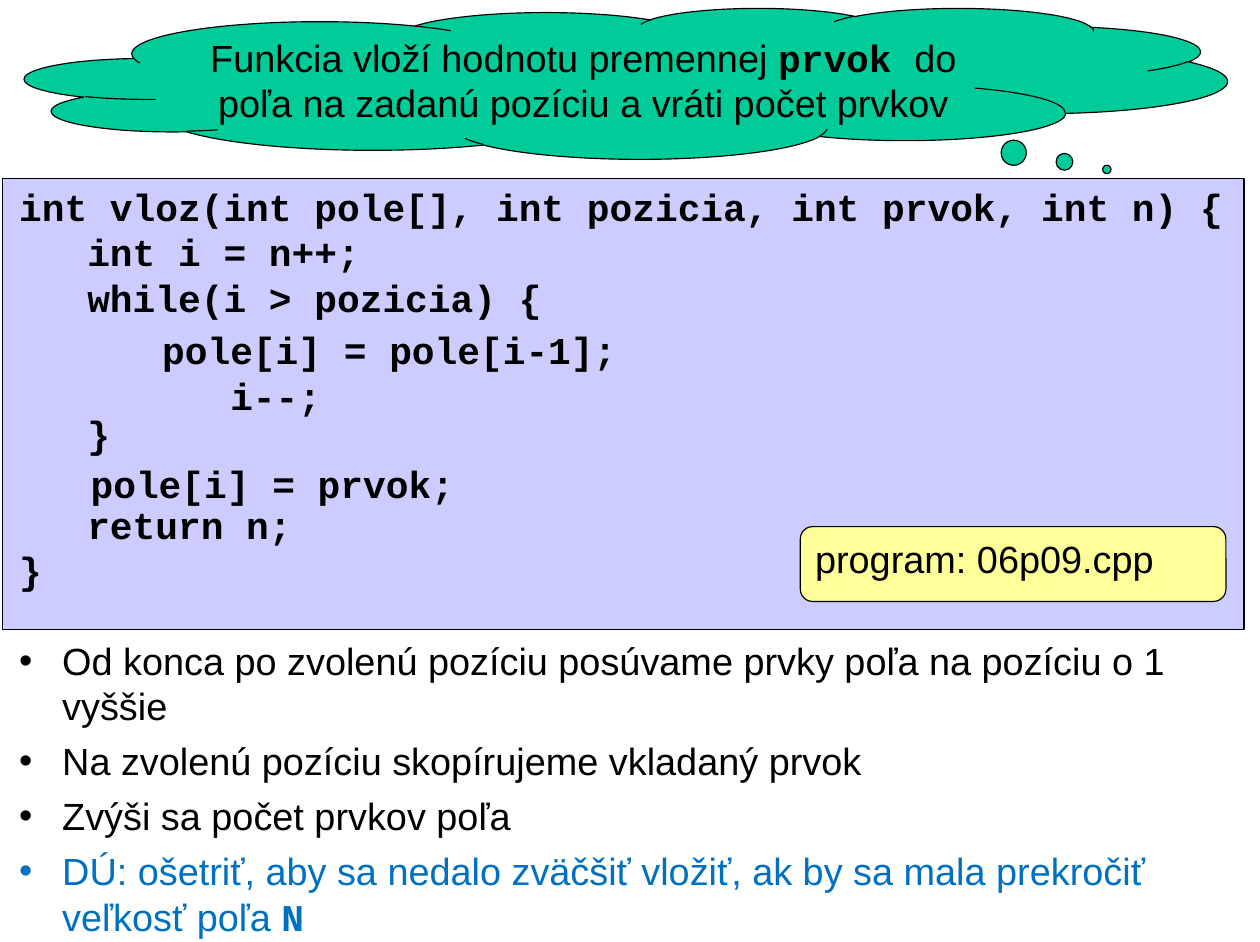
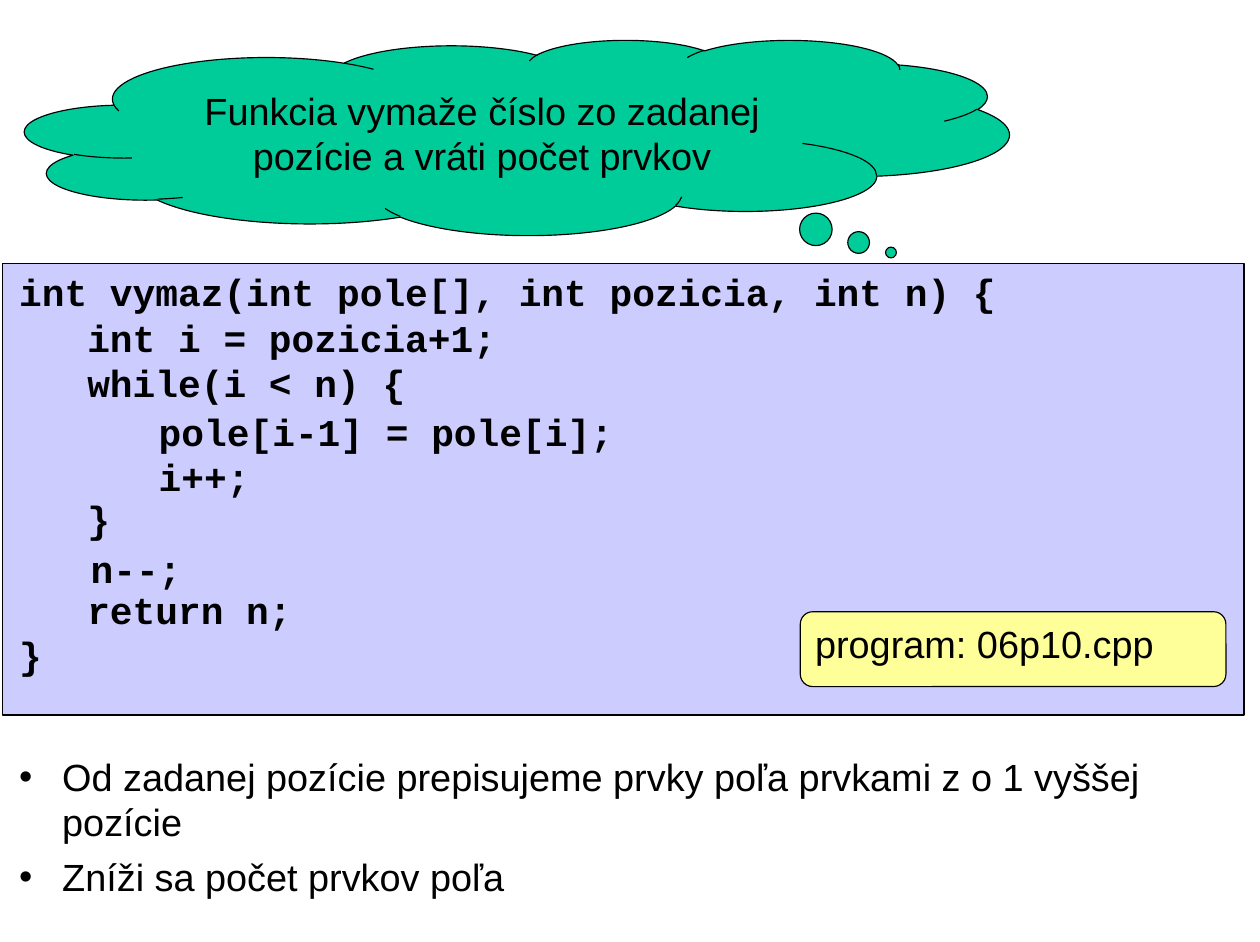
from lxml.etree import SubElement
from pptx import Presentation
from pptx.dml.color import RGBColor
from pptx.enum.shapes import MSO_SHAPE as SHAPE
from pptx.enum.text import MSO_ANCHOR as ANCHOR, PP_ALIGN as ALIGN
from pptx.oxml.ns import qn
from pptx.util import Inches, Pt

W, H = Inches(11.1), Inches(8.3)
COLS, ROWS = 111, 83

BLACK = RGBColor(0x00, 0x00, 0x00)
BLUE = RGBColor(0x00, 0x70, 0xC0)
GREEN = RGBColor(0x00, 0xCC, 0x99)
LILAC = RGBColor(0xCC, 0xCC, 0xFF)
YELLOW = RGBColor(0xFF, 0xFF, 0x99)

LINE = 28.8
PLAIN = {"name": "Arial", "size": Pt(24), "bold": False}
CODE = {"name": "Courier New", "size": Pt(24), "bold": True}


def col(n):
    return int(W * n / COLS)


def row(n):
    return int(H * n / ROWS)


def place(x, y, w, h):
    return col(x), row(y), col(w), row(h)


def apply(obj, values):
    for name, value in values.items():
        setattr(obj, name, value)


def add_runs(p, runs, color=BLACK):
    for text, style in runs:
        r = p.add_run()
        r.text = text
        apply(r.font, style)
        r.font.color.rgb = color


def paragraphs(tf, count):
    return [tf.paragraphs[0]] + [tf.add_paragraph() for _ in range(count - 1)]


def add_box(s, kind, at, fill, adjustments=()):
    sp = s.shapes.add_shape(kind, *place(*at))
    sp.shadow.inherit = False
    sp.fill.solid()
    sp.fill.fore_color.rgb = fill
    sp.line.color.rgb = BLACK
    sp.line.width = Pt(0.75)
    for i, value in enumerate(adjustments):
        sp.adjustments[i] = value
    return sp


def fill_box(sp, runs, anchor, align):
    tf = sp.text_frame
    apply(tf, {"word_wrap": True, "vertical_anchor": anchor})
    p = tf.paragraphs[0]
    apply(p, {"alignment": align, "line_spacing": Pt(LINE)})
    add_runs(p, runs)


def add_cloud(s, at, tail, runs):
    sp = add_box(s, SHAPE.CLOUD_CALLOUT, at, GREEN, tail)
    fill_box(sp, runs, ANCHOR.MIDDLE, ALIGN.CENTER)


def add_code(s, at, lines, skipped=None):
    tf = s.shapes.add_textbox(*place(*at)).text_frame
    tf.word_wrap = False
    for i, (p, text) in enumerate(zip(paragraphs(tf, len(lines)), lines)):
        p.line_spacing = Pt(LINE)
        if skipped and i in skipped:
            p.space_before = Pt(LINE * skipped[i])
        add_runs(p, [(text, CODE)])


def add_listing(s, top, head, loop, loop_at, after, program):
    add_box(s, SHAPE.RECTANGLE, (0.2, top, 109.4, 39.8), LILAC)
    lines = head + ["   }", "   return n;", "}"]
    add_code(s, (0.7, top, 108.9, 37.4), lines, {3: 2, 4: 1})
    x, dy = loop_at
    add_code(s, (x, top + dy, 55.5, 9.1), loop)
    add_code(s, (7, top + 24.4, 34.3, 5), [after])
    sp = add_box(s, SHAPE.ROUNDED_RECTANGLE, (70.5, top + 30.7, 37.5, 6.6), YELLOW)
    fill_box(sp, [("program: " + program, PLAIN)], ANCHOR.TOP, ALIGN.LEFT)


def add_bullets(s, top, height, items):
    tf = s.shapes.add_textbox(*place(0.7, top, 110.3, height)).text_frame
    tf.word_wrap = True
    for i, (p, (runs, color)) in enumerate(zip(paragraphs(tf, len(items)), items)):
        pPr = p._p.get_or_add_pPr()
        pPr.set("marL", str(col(3.8)))
        pPr.set("indent", str(-col(3.8)))
        SubElement(pPr, qn("a:buFont"), typeface="Arial")
        SubElement(pPr, qn("a:buChar"), char="•")
        apply(p, {"line_spacing": Pt(LINE), "space_before": Pt(6 if i else 0)})
        add_runs(p, runs, color)


def insert_slide(s):
    add_listing(
        s, 15.7,
        ["int vloz(int pole[], int pozicia, int prvok, int n) {",
         "   int i = n++;",
         "   while(i > pozicia) {"],
        [" pole[i] = pole[i-1];", "    i--;"], (11.3, 12.6),
        "pole[i] = prvok;", "06p09.cpp")
    add_cloud(s, (2.2, 0.7, 105.9, 13.3), (0.4, 0.57), [
        ("Funkcia vloží hodnotu premennej ", PLAIN),
        ("prvok ", CODE),
        ("do poľa na zadanú pozíciu a vráti počet prvkov", PLAIN)])
    add_bullets(s, 55.7, 27.8, [
        ([("Od konca po zvolenú pozíciu posúvame prvky poľa na pozíciu o 1 vyššie", PLAIN)], BLACK),
        ([("Na zvolenú pozíciu skopírujeme vkladaný prvok", PLAIN)], BLACK),
        ([("Zvýši sa počet prvkov poľa", PLAIN)], BLACK),
        ([("DÚ: ošetriť, aby sa nedalo zväčšiť vložiť, ak by sa mala prekročiť veľkosť poľa ", PLAIN),
          ("N", CODE)], BLUE)])


def delete_slide(s):
    add_listing(
        s, 23.2,
        ["int vymaz(int pole[], int pozicia, int n) {",
         "   int i = pozicia+1;",
         "   while(i < n) {"],
        ["pole[i-1] = pole[i];", "i++;"], (13, 12.3),
        "n--;", "06p10.cpp")
    add_cloud(s, (2.2, 3.5, 86.7, 17.2), (0.38, 0.59), [
        ("Funkcia vymaže číslo zo zadanej pozície a vráti počet prvkov", PLAIN)])
    add_bullets(s, 65.9, 14, [
        ([("Od zadanej pozície prepisujeme prvky poľa prvkami z o 1 vyššej pozície", PLAIN)], BLACK),
        ([("Zníži sa počet prvkov poľa", PLAIN)], BLACK)])


def main():
    prs = Presentation()
    apply(prs, {"slide_width": W, "slide_height": H})
    for build in (insert_slide, delete_slide):
        build(prs.slides.add_slide(prs.slide_layouts[6]))
    prs.save("out.pptx")


if __name__ == "__main__":
    main()
